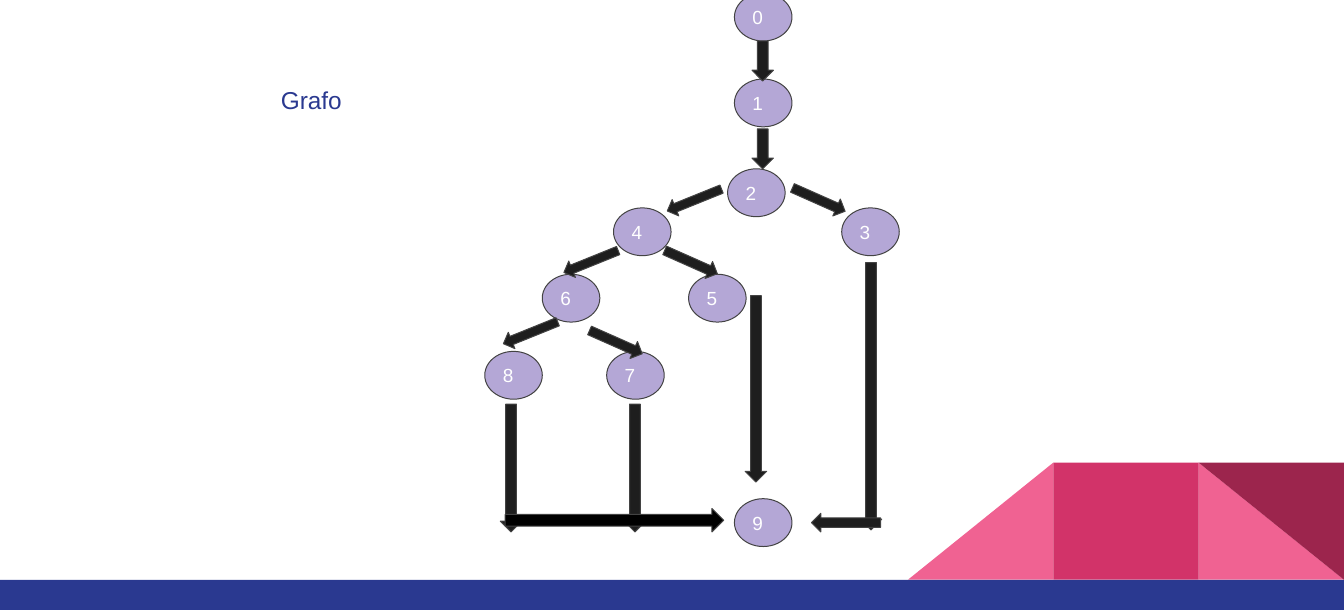
from pptx import Presentation
from pptx.dml.color import RGBColor
from pptx.enum.shapes import MSO_SHAPE
from pptx.enum.text import MSO_ANCHOR, MSO_AUTO_SIZE, PP_ALIGN
from pptx.util import Pt

PX = 9144
RECT, TRIANGLE = MSO_SHAPE.RECTANGLE, MSO_SHAPE.RIGHT_TRIANGLE
OVAL, ARROW = MSO_SHAPE.OVAL, MSO_SHAPE.DOWN_ARROW
TOP, MIDDLE = MSO_ANCHOR.TOP, MSO_ANCHOR.MIDDLE
LEFT = PP_ALIGN.LEFT
NO_AUTOFIT = MSO_AUTO_SIZE.NONE

COLORS = {
    "white": "FFFFFF", "navy": "2A3990", "pink": "F06292", "rose": "D23369",
    "wine": "9C254D", "lilac": "B4A7D6", "dark": "1E1E1E", "black": "000000",
    "outline": "434343",
}
FONT = "Arial"
SLIDE_W, SLIDE_H = 1378, 625
BAR_H = 31
TILE_W, TILE_H = 149, 120
TITLE = "Grafo"
TITLE_BOX = (275, 74, 1103, 65)

NODE_W, NODE_H = 59, 49
NODES = {
    "0": (753, -7), "1": (753, 81), "2": (746, 173), "3": (863, 213),
    "4": (629, 213), "5": (706, 281), "6": (556, 281), "7": (622, 360),
    "8": (497, 360), "9": (753, 511),
}

DOWN_W = 22
DOWN_ARROWS = [
    (771, 42, 41), (771, 132, 41), (764, 303, 191),
    (882, 269, 274), (640, 414, 131), (513, 414, 131),
]
LEFT_BRANCH = (18, 60, 68)
RIGHT_BRANCH = (19, 59, 293.9)
BRANCHES = [
    (LEFT_BRANCH, [(703, 175), (597, 238), (535, 311)]),
    (RIGHT_BRANCH, [(830, 175), (699, 239), (622, 321)]),
]
SIDE_ARROWS = [
    (858, 500, 19, 71, 90, "dark"),
    (618, 421, 24, 224, 270, "black"),
]


def rgb(name):
    return RGBColor.from_string(COLORS[name])


def add_shape(slide, kind, x, y, w, h, fill, line=None, rotation=0):
    sp = slide.shapes.add_shape(kind, x * PX, y * PX, w * PX, h * PX)
    sp.shadow.inherit = False
    sp.rotation = rotation
    sp.fill.solid()
    sp.fill.fore_color.rgb = rgb(fill)
    if line:
        sp.line.color.rgb = rgb(line)
        sp.line.width = Pt(0.75)
    else:
        sp.line.fill.background()
    return sp


def write(sp, text, size, color, anchor, inset):
    tf = sp.text_frame
    tf.word_wrap = True
    tf.auto_size = NO_AUTOFIT
    tf.vertical_anchor = anchor
    tf.margin_left = tf.margin_right = inset * PX
    tf.margin_top = tf.margin_bottom = inset * PX
    p = tf.paragraphs[0]
    p.alignment = LEFT
    r = p.add_run()
    r.text = text
    r.font.name = FONT
    r.font.size = Pt(size)
    r.font.color.rgb = rgb(color)


def add_decoration(slide):
    bar_y = SLIDE_H - BAR_H
    y = bar_y - TILE_H
    right, middle, left = [SLIDE_W - n * TILE_W for n in (1, 2, 3)]
    add_shape(slide, TRIANGLE, right, y, TILE_W, TILE_H, "pink")
    sp = add_shape(slide, TRIANGLE, left, y, TILE_W, TILE_H, "pink")
    sp.element.spPr.xfrm.set("flipH", "1")
    add_shape(slide, RECT, middle, y, TILE_W, TILE_H, "rose")
    add_shape(slide, TRIANGLE, right, y, TILE_W, TILE_H, "wine", rotation=180)
    add_shape(slide, RECT, 0, bar_y, SLIDE_W, BAR_H, "navy")


def add_title(slide):
    title = slide.shapes.title
    title.left, title.top, title.width, title.height = [v * PX for v in TITLE_BOX]
    write(title, TITLE, 18, "navy", TOP, 13)


def add_graph(slide):
    for label, (x, y) in NODES.items():
        sp = add_shape(slide, OVAL, x, y, NODE_W, NODE_H, "lilac", "outline")
        write(sp, label, 14, "white", MIDDLE, 10)
    arrows = [(x, y, DOWN_W, length, 0, "dark") for x, y, length in DOWN_ARROWS]
    for (w, length, angle), places in BRANCHES:
        arrows += [(x, y, w, length, angle, "dark") for x, y in places]
    for x, y, w, length, angle, fill in arrows + SIDE_ARROWS:
        add_shape(slide, ARROW, x, y, w, length, fill, "outline", angle)


def main():
    prs = Presentation()
    prs.slide_width, prs.slide_height = SLIDE_W * PX, SLIDE_H * PX
    slide = prs.slides.add_slide(prs.slide_layouts[5])
    add_decoration(slide)
    add_title(slide)
    add_graph(slide)
    prs.save("out.pptx")


if __name__ == "__main__":
    main()
